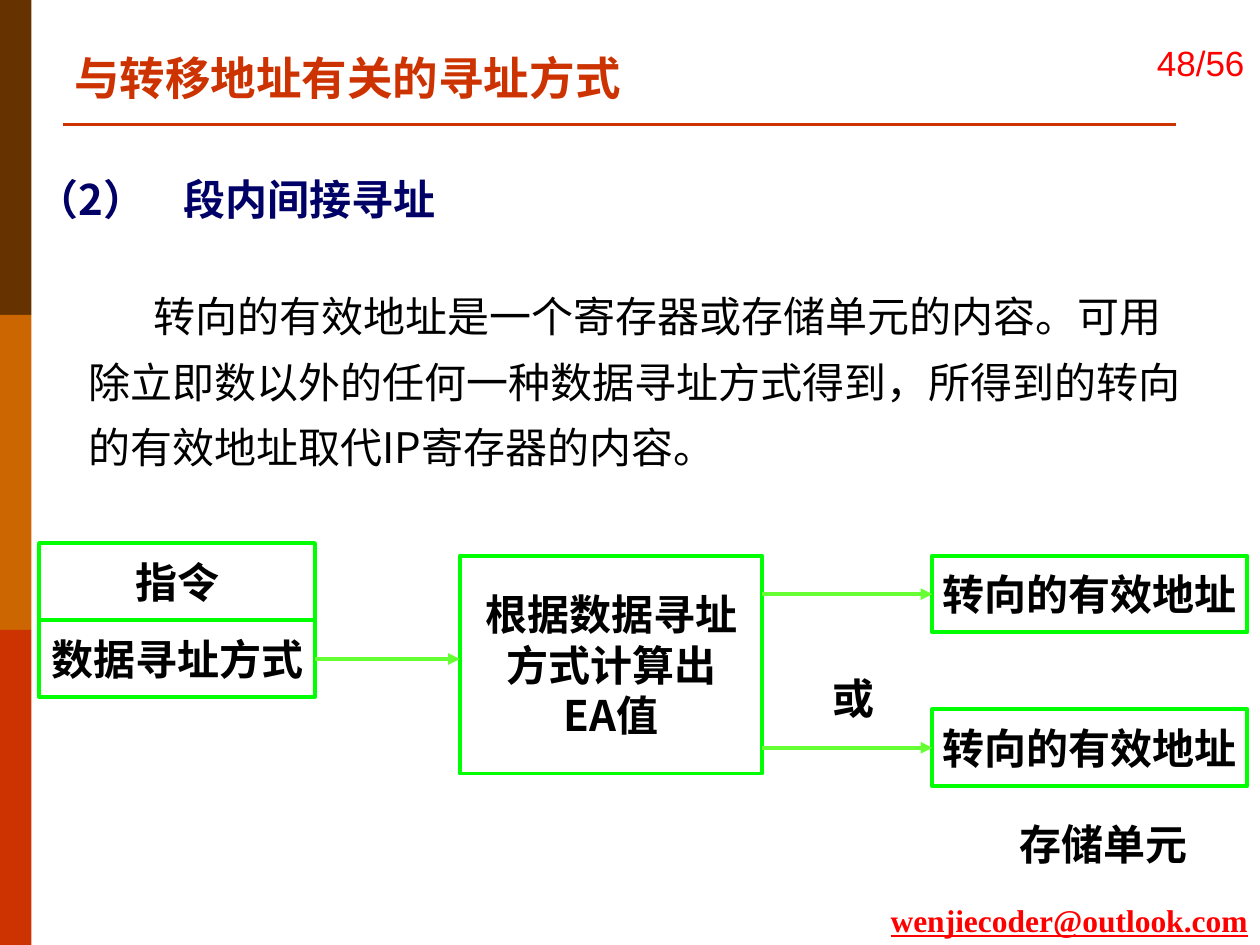
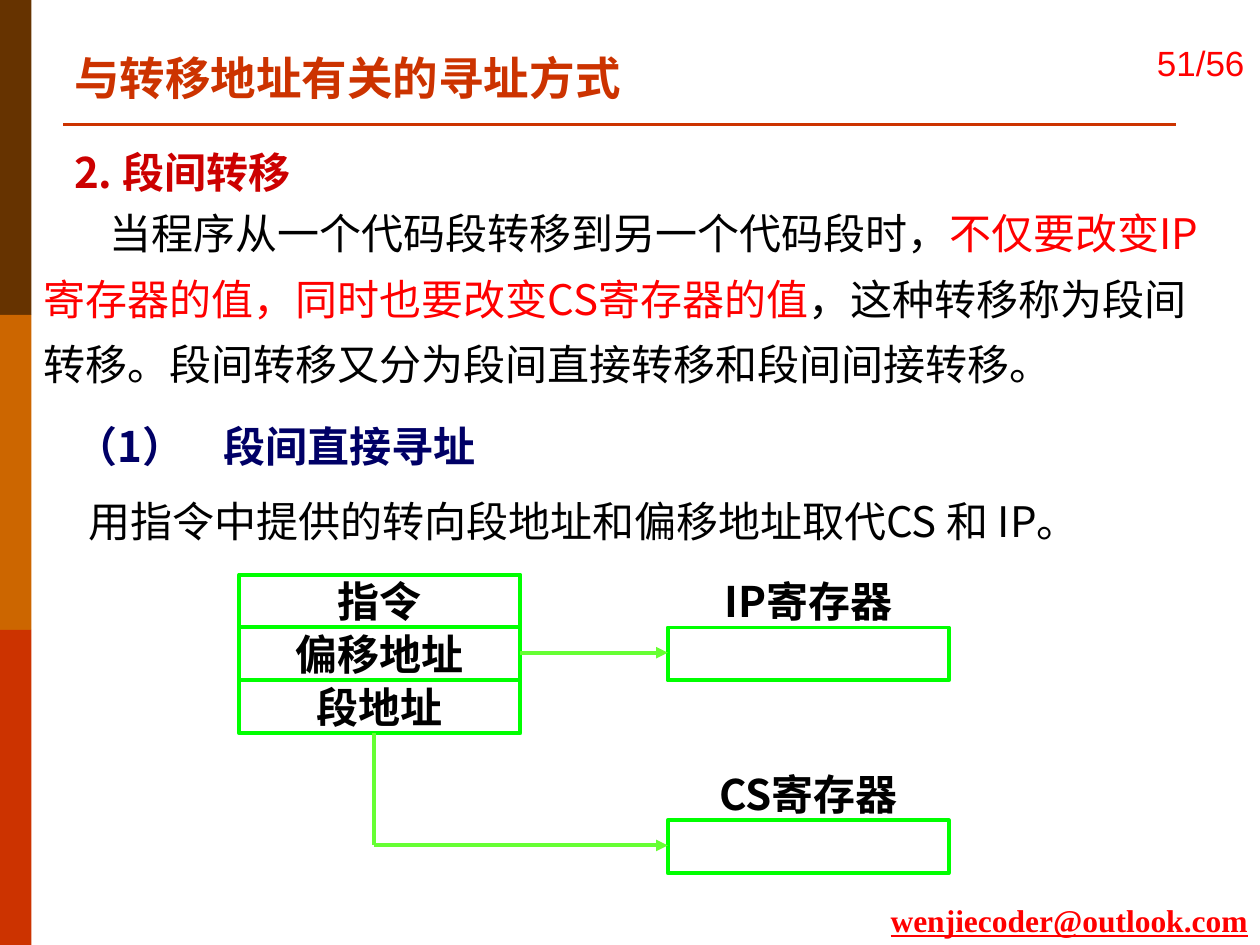
from typing import NamedTuple

from lxml import etree
from pptx import Presentation
from pptx.dml.color import RGBColor
from pptx.enum.shapes import MSO_CONNECTOR, MSO_SHAPE
from pptx.enum.text import MSO_ANCHOR, MSO_AUTO_SIZE, PP_ALIGN
from pptx.oxml.ns import qn
from pptx.util import Inches, Pt

RECT = MSO_SHAPE.RECTANGLE
STRAIGHT = MSO_CONNECTOR.STRAIGHT
TOP, MIDDLE = MSO_ANCHOR.TOP, MSO_ANCHOR.MIDDLE
LEFT, CENTER = PP_ALIGN.LEFT, PP_ALIGN.CENTER
FIXED = MSO_AUTO_SIZE.NONE

BROWN = RGBColor(0x66, 0x33, 0x00)
AMBER = RGBColor(0xCC, 0x66, 0x00)
RUST = RGBColor(0xCC, 0x33, 0x00)
CRIMSON = RGBColor(0xCC, 0x00, 0x00)
RED = RGBColor(0xFF, 0x00, 0x00)
NAVY = RGBColor(0x00, 0x00, 0x66)
BLACK = RGBColor(0x00, 0x00, 0x00)
GREEN = RGBColor(0x00, 0xFF, 0x00)
LIME = RGBColor(0x66, 0xFF, 0x33)

SANS = "Noto Sans CJK SC"
LABEL = "Noto Sans CJK JP"
SERIF = "Times New Roman"
TITLE = "与转移地址有关的寻址方式"
BAND = 2.5
INDENT = 0.52
TAB = 1.17


class Box(NamedTuple):
    left: float
    top: float
    width: float
    height: float


class Style(NamedTuple):
    size: float = 24
    color: RGBColor = BLACK
    bold: bool = False
    font: str = SANS
    east: str = SANS
    under: bool = False


class Node(NamedTuple):
    box: Box
    lines: tuple = ()
    framed: bool = True


class Link(NamedTuple):
    start: tuple
    end: tuple
    arrow: bool = True


BODY = Style()
ALERT = Style(color=RED)
HEAD = Style(color=NAVY, bold=True)
TOPIC = Style(color=CRIMSON, bold=True)
NAME = Style(bold=True, font=LABEL, east=LABEL)
CROWN = Style(26, RUST, True, SERIF)
MAIL = Style(18, RED, True, SERIF, under=True)
PAGE = Style(20, RED, font="Arial")


def lengths(box: Box) -> list:
    return [Inches(part) for part in box]


def add_run(para, text: str, style: Style) -> None:
    run = para.add_run()
    run.text = text
    font = run.font
    font.size = Pt(style.size)
    font.bold = style.bold
    font.underline = style.under
    font.color.rgb = style.color
    font.name = style.font
    latin = run._r.rPr.find(qn("a:latin"))
    east = etree.Element(qn("a:ea"), typeface=style.east)
    latin.addnext(east)


def set_frame(frame, pad: tuple, anchor=TOP, wrap: bool = True) -> None:
    frame.auto_size = FIXED
    frame.word_wrap = wrap
    frame.vertical_anchor = anchor
    frame.margin_left = frame.margin_right = Inches(pad[0])
    frame.margin_top = frame.margin_bottom = Inches(pad[1])


def add_text(slide, box: Box, *runs: tuple, pad: tuple = (0.12, 0.06),
             anchor=TOP, align=LEFT, wrap: bool = True, space: float = 1,
             indent: float = 0, tab: float = 0) -> None:
    frame = slide.shapes.add_textbox(*lengths(box)).text_frame
    set_frame(frame, pad, anchor, wrap)
    para = frame.paragraphs[0]
    props = para._p.get_or_add_pPr()
    if indent:
        props.set("indent", str(Inches(indent)))
    if tab:
        stops = etree.SubElement(props, qn("a:tabLst"))
        etree.SubElement(stops, qn("a:tab"), pos=str(Inches(tab)), algn="l")
    para.alignment = align
    para.line_spacing = space
    for text, style in runs:
        add_run(para, text, style)


def add_line(slide, link: Link, color: RGBColor, width: float) -> None:
    ends = [Inches(part) for part in link.start + link.end]
    line = slide.shapes.add_connector(STRAIGHT, *ends)
    line.line.color.rgb = color
    line.line.width = Pt(width)
    if link.arrow:
        etree.SubElement(line.line._get_or_add_ln(), qn("a:tailEnd"),
                         type="triangle")
    etree.SubElement(line._element.spPr, qn("a:effectLst"))


def add_node(slide, node: Node) -> None:
    if node.framed:
        shape = slide.shapes.add_shape(RECT, *lengths(node.box))
        shape.shadow.inherit = False
        shape.fill.background()
        shape.line.color.rgb = GREEN
        shape.line.width = Pt(2.25)
    else:
        shape = slide.shapes.add_textbox(*lengths(node.box))
    frame = shape.text_frame
    set_frame(frame, (0, 0), MIDDLE)
    for index, text in enumerate(node.lines):
        para = frame.add_paragraph() if index else frame.paragraphs[0]
        para.alignment = CENTER
        add_run(para, text, NAME)


def draw(slide, nodes: list, links: list) -> None:
    for node in nodes:
        add_node(slide, node)
    for link in links:
        add_line(slide, link, LIME, 2.25)


def add_base(deck, page: int):
    slide = deck.slides.add_slide(deck.slide_layouts[5])
    for index, color in enumerate((BROWN, AMBER, RUST)):
        band = slide.shapes.add_shape(
            RECT, *lengths(Box(0, index * BAND, 0.25, BAND)))
        band.shadow.inherit = False
        band.fill.solid()
        band.fill.fore_color.rgb = color
        band.line.fill.background()
    add_line(slide, Link((0.5, 0.99), (9.33, 0.99), False), RUST, 1.5)
    add_text(slide, Box(6.97, 7.1, 3.07, 0.4),
             ("wenjiecoder@outlook.com", MAIL), pad=(0.1, 0.05), wrap=False)
    add_text(slide, Box(9.06, 0.01, 0.94, 0.98), (f"{page}/56", PAGE),
             pad=(0.1, 0.05), anchor=MIDDLE, align=CENTER)
    title = slide.shapes.title
    title.left, title.top, title.width, title.height = lengths(
        Box(0.49, 0.35, 6.99, 0.54))
    set_frame(title.text_frame, (0.1, 0.05))
    para = title.text_frame.paragraphs[0]
    para.alignment = LEFT
    add_run(para, TITLE, CROWN)
    return slide


def add_near(deck) -> None:
    slide = add_base(deck, 48)
    add_text(slide, Box(0.17, 1.32, 3.77, 0.61), ("（2）\t段内间接寻址", HEAD),
             tab=TAB)
    add_text(slide, Box(0.58, 2.13, 9.02, 1.7),
             ("转向的有效地址是一个寄存器或存储单元的内容。可用除立即数以外的任何一种"
              "数据寻址方式得到，所得到的转向的有效地址取代IP寄存器的内容。", BODY),
             space=1.3, indent=INDENT)
    row = 0.61
    code, calc, goal = 0.31, 3.65, 7.4
    goals = (4.41, 5.63)
    nodes = [Node(Box(code, 4.31 + index * row, 2.19, row), (text,))
             for index, text in enumerate(("指令", "数据寻址方式"))]
    nodes += [Node(Box(goal, top, 2.5, row), ("转向的有效地址",))
              for top in goals]
    nodes += [
        Node(Box(calc, 4.41, 2.4, 1.73),
             ("根据数据寻址", "方式计算出", "EA值")),
        Node(Box(6.15, 5.23, 1.25, row), ("或",), False),
        Node(Box(7.92, 6.45, 1.67, 0.49), ("存储单元",), False),
    ]
    links = [Link((2.5, 5.23), (calc, 5.23))]
    links += [Link((6.05, top + row / 2), (goal, top + row / 2))
              for top in goals]
    draw(slide, nodes, links)


def add_far(deck) -> None:
    slide = add_base(deck, 51)
    add_text(slide, Box(0.49, 1.11, 3.96, 0.5), ("2. 段间转移", TOPIC),
             pad=(0.1, 0.05))
    add_text(slide, Box(0.25, 1.48, 9.39, 1.68),
             ("当程序从一个代码段转移到另一个代码段时，", BODY),
             ("不仅要改变IP寄存器的值，同时也要改变CS寄存器的值", ALERT),
             ("，这种转移称为段间转移。段间转移又分为段间直接转移和段间间接转移。", BODY),
             pad=(0.1, 0.05), space=1.3, indent=INDENT)
    add_text(slide, Box(0.48, 3.28, 3.51, 0.47), ("（1）\t段间直接寻址", HEAD),
             tab=TAB)
    add_text(slide, Box(0.58, 3.75, 8.72, 0.61),
             ("用指令中提供的转向段地址和偏移地址取代CS 和 IP。", BODY), space=1.3)
    wide, row = 2.23, 0.42
    code, store = 1.9, 5.3
    first, turn, low = 4.56, 2.97, 6.71
    nodes = [Node(Box(code, first + index * row, wide, row), (text,))
             for index, text in enumerate(("指令", "偏移地址", "段地址"))]
    for text, top in (("IP寄存器", first), ("CS寄存器", 6.09)):
        nodes.append(Node(Box(store, top, wide, row), (text,), False))
        nodes.append(Node(Box(store, top + row, wide, row)))
    links = [
        Link((code + wide, 5.18), (store, 5.18)),
        Link((turn, first + 3 * row), (turn, low), False),
        Link((turn, low), (store, low)),
    ]
    draw(slide, nodes, links)


def main() -> None:
    deck = Presentation()
    deck.slide_width = Inches(10)
    deck.slide_height = Inches(7.5)
    add_near(deck)
    add_far(deck)
    deck.save("out.pptx")


if __name__ == "__main__":
    main()
